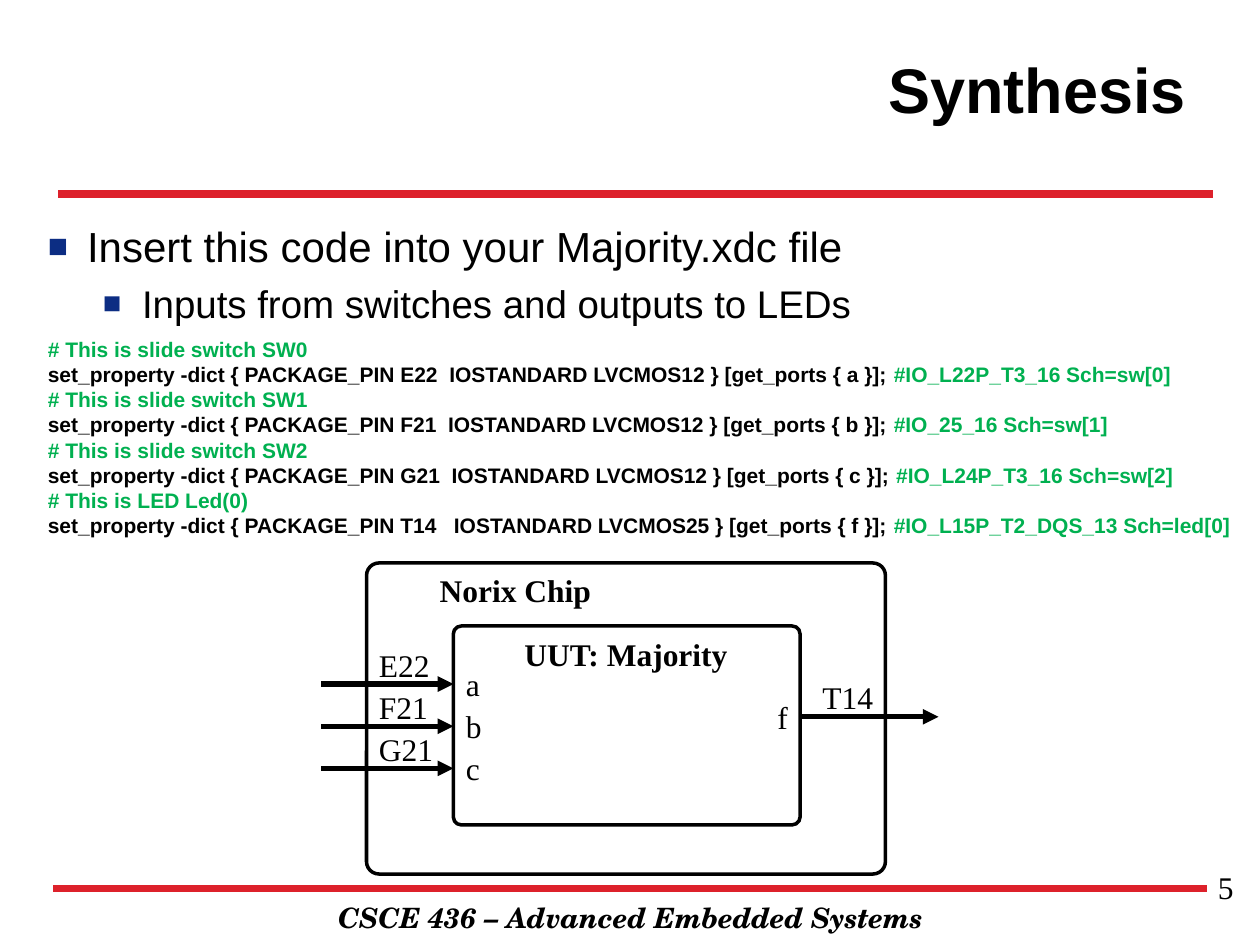
from dataclasses import dataclass
from typing import Any

from lxml.etree import SubElement as Sub
from pptx import Presentation
from pptx.dml.color import RGBColor
from pptx.enum.shapes import MSO_CONNECTOR as Conn, MSO_SHAPE as Shape
from pptx.enum.text import MSO_ANCHOR as Anchor, MSO_AUTO_SIZE as Auto, PP_ALIGN as Align
from pptx.oxml.ns import qn
from pptx.util import Cm, Pt

COLORS = {"ink": "000000", "rule": "DD212B", "bullet": "0C2D83", "comment": "00B050"}
SERIF = {"name": "Times New Roman", "size": Pt(18)}
TITLE = {"name": "Arial", "size": Pt(36), "bold": True}
FOOTER = {"name": "TeX Gyre Schola", "size": Pt(16), "bold": True, "italic": True}
CODE = {"name": "Arial", "size": Pt(12), "bold": True}


@dataclass
class Label:
    """A line of text in a box, in centimetres."""
    text: str
    x: float
    y: float
    w: float
    h: float = 1.02
    align: Any = Align.LEFT
    bold: bool = False


@dataclass
class Line:
    """A horizontal line, in centimetres."""
    x1: float
    x2: float
    y: float
    color: str = "ink"
    width: float = 3
    arrow: bool = True


@dataclass
class Block:
    """A rounded outline, in centimetres."""
    x: float
    y: float
    w: float
    h: float


@dataclass
class Bullet:
    """A bulleted line of the body."""
    text: str
    level: int
    size: float
    indent: float
    before: float


@dataclass
class Pin:
    """A constraint that ties a port to a package pin."""
    note: str
    pin: str
    standard: str
    port: str
    net: str
    gap: str = "  "


def rgb(key: str) -> RGBColor:
    """Look up a colour."""
    return RGBColor.from_string(COLORS[key])


def add_run(p: Any, text: str, fmt: dict, color: str = "ink") -> None:
    """Append a formatted run."""
    r = p.add_run()
    r.text = text
    for name, value in fmt.items():
        setattr(r.font, name, value)
    r.font.color.rgb = rgb(color)


def place(sp: Any, x: float, y: float, w: float, h: float) -> None:
    """Move and size a shape."""
    for name, value in zip(("left", "top", "width", "height"), (x, y, w, h)):
        setattr(sp, name, Cm(value))


def add_label(s: Any, label: Label, fmt: dict) -> None:
    """Draw a text box."""
    tf = s.shapes.add_textbox(*map(Cm, (label.x, label.y, label.w, label.h))).text_frame
    tf.word_wrap = True
    p = tf.paragraphs[0]
    p.alignment = label.align
    add_run(p, label.text, {"bold": label.bold, **fmt})


def add_line(s: Any, line: Line) -> None:
    """Draw a rule or an arrow."""
    ends = (line.x1, line.y, line.x2, line.y)
    cx = s.shapes.add_connector(Conn.STRAIGHT, *map(Cm, ends))
    cx.line.color.rgb = rgb(line.color)
    cx.line.width = Pt(line.width)
    if line.arrow:
        Sub(cx.line._get_or_add_ln(), qn("a:tailEnd"), type="triangle")
    Sub(cx._element.spPr, qn("a:effectLst"))


def add_block(s: Any, block: Block) -> None:
    """Draw an unfilled rounded rectangle."""
    sp = s.shapes.add_shape(Shape.ROUNDED_RECTANGLE,
                            *map(Cm, (block.x, block.y, block.w, block.h)))
    sp.adjustments[0] = 0.04
    sp.shadow.inherit = False
    sp.fill.background()
    sp.line.color.rgb = rgb("ink")
    sp.line.width = Pt(2)


def add_paragraph(tf: Any, before: float, spacing: float = 1.0) -> Any:
    """Start a paragraph, reusing the empty first one."""
    first = tf.paragraphs[0]
    p = tf.add_paragraph() if first.runs else first
    for name, value in {"space_before": Pt(before), "space_after": Pt(0),
                        "line_spacing": spacing, "alignment": Align.LEFT}.items():
        setattr(p, name, value)
    return p


def add_bullet(tf: Any, item: Bullet) -> None:
    """Write a line with a square bullet."""
    p = add_paragraph(tf, item.before)
    p.level = item.level
    pPr = p._p.get_or_add_pPr()
    pPr.set("marL", str(Cm(item.indent)))
    pPr.set("indent", str(Cm(-0.79)))
    Sub(Sub(pPr, qn("a:buClr")), qn("a:srgbClr"), val=COLORS["bullet"])
    Sub(pPr, qn("a:buSzPct"), val="80000")
    Sub(pPr, qn("a:buFont"), typeface="Arial")
    Sub(pPr, qn("a:buChar"), char="■")
    add_run(p, item.text, {"name": "Arial", "size": Pt(item.size)})


def add_code(tf: Any, before: float, *parts: tuple) -> None:
    """Write a code line from (text, colour) parts."""
    p = add_paragraph(tf, before, 0.8)
    pPr = p._p.get_or_add_pPr()
    pPr.set("marL", "0")
    pPr.set("indent", "0")
    Sub(pPr, qn("a:buNone"))
    for text, color in parts:
        add_run(p, text, CODE, color)


BULLETS = [Bullet("Insert this code into your Majority.xdc file", 0, 24, 0.79, 0),
           Bullet("Inputs from switches and outputs to LEDs", 1, 22, 1.9, 5.3)]
INPUTS = [Pin("slide switch SW0", "E22", "LVCMOS12", "a", "IO_L22P_T3_16 Sch=sw[0]"),
          Pin("slide switch SW1", "F21", "LVCMOS12", "b", "IO_25_16 Sch=sw[1]"),
          Pin("slide switch SW2", "G21", "LVCMOS12", "c", "IO_L24P_T3_16 Sch=sw[2]")]
OUTPUT = Pin("LED Led(0)", "T14", "LVCMOS25", "f", "IO_L15P_T2_DQS_13 Sch=led[0]", "   ")

prs = Presentation()
prs.slide_width, prs.slide_height = Cm(25.4), Cm(19.05)
s = prs.slides.add_slide(prs.slide_layouts[1])
title, body = s.placeholders

place(title, 5.31, 0.2, 18.85, 3.18)
tf = title.text_frame
tf.auto_size, tf.vertical_anchor = Auto.NONE, Anchor.MIDDLE
tf.paragraphs[0].alignment = Align.RIGHT
add_run(tf.paragraphs[0], "Synthesis", TITLE)

place(body, 0.71, 4.32, 24.69, 12.01)
tf = body.text_frame
tf.auto_size, tf.vertical_anchor = Auto.NONE, Anchor.TOP
for item in BULLETS:
    add_bullet(tf, item)
for i, c in enumerate([*INPUTS, OUTPUT]):
    add_code(tf, 2.9 if i else 8.4, (f"# This is {c.note}", "comment"))
    add_code(tf, 2.9,
             (f"set_property -dict {{ PACKAGE_PIN {c.pin}{c.gap}IOSTANDARD {c.standard} }} "
              f"[get_ports {{ {c.port} }}]; ", "ink"),
             (f"#{c.net}", "comment"))

for rule in (Line(1.17, 24.46, 3.91, "rule", 4.5, False),
             Line(1.07, 24.33, 17.91, "rule", 4.5, False)):
    add_line(s, rule)
add_label(s, Label("CSCE 436 – Advanced Embedded Systems", 3.61, 18.03, 18.21, 0.94,
                   Align.CENTER), FOOTER)

unit, chip = Block(9.14, 12.62, 6.99, 4.01), Block(7.39, 11.35, 10.46, 6.27)
for block in (unit, chip):
    add_block(s, block)

labels = [Label("5", 19.2, 17.37, 5.92, 1.32, Align.RIGHT),
          Label("UUT: Majority", 9.98, 12.67, 5.28, align=Align.CENTER, bold=True),
          Label("Norix Chip", 7.75, 11.38, 5.28, align=Align.CENTER, bold=True)]
for i, c in enumerate(INPUTS):
    y = 13.79 + 0.85 * i
    add_line(s, Line(6.48, unit.x, y))
    labels += [Label(c.port, unit.x, y - 0.51, 2.5), Label(c.pin, chip.x, y - 0.89, 1.9)]
y, right = 14.45, unit.x + unit.w
add_line(s, Line(right, 18.92, y))
labels += [Label(OUTPUT.port, right - 0.86, y - 0.51, 0.86, align=Align.RIGHT),
           Label(OUTPUT.pin, chip.x + chip.w - 1.9, y - 0.91, 1.9, align=Align.RIGHT)]
for label in labels:
    add_label(s, label, SERIF)

prs.save("out.pptx")
